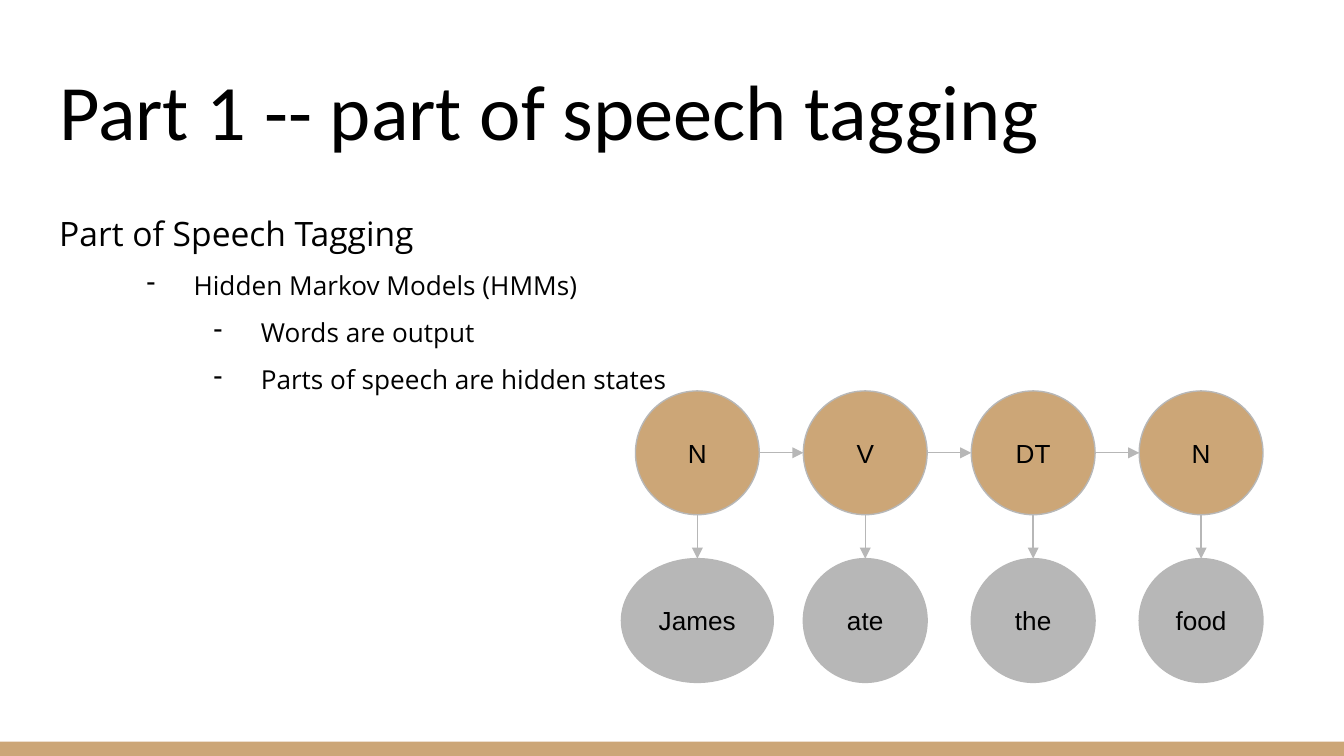
from dataclasses import dataclass

from lxml import etree
from pptx import Presentation
from pptx import util as u
from pptx.dml.color import RGBColor
from pptx.enum import shapes, text
from pptx.oxml import ns


@dataclass(frozen=True)
class Theme:
    ink: str = "000000"
    tan: str = "CCA677"
    gray: str = "B7B7B7"
    head: str = "Calibri"
    body: str = "Open Sans"
    node: str = "Arial"
    big: int = 42
    mid: int = 18
    small: int = 14
    rule: float = 0.75


LOOK = Theme()
WIDE, HIGH = 25.4, 14.29
PAD = 0.25
TITLE = "Part 1 -- part of speech tagging"
NOTES = [
    (0, "Part of Speech Tagging"),
    (1, "Hidden Markov Models (HMMs)"),
    (2, "Words are output"),
    (2, "Parts of speech are hidden states"),
]
# hidden state, word, width of the word's oval
CHAIN = [("N", "James", 2.87), ("V", "ate", 2.34), ("DT", "the", 2.34), ("N", "food", 2.34)]


def cm(*nums):
    return [u.Cm(n) for n in nums]


def add_run(para, words, font, size):
    run = para.add_run()
    run.text = words
    run.font.name = font
    run.font.size = u.Pt(size)
    run.font.color.rgb = RGBColor.from_string(LOOK.ink)


def set_frame(frame, anchor):
    frame.word_wrap = True
    frame.auto_size = text.MSO_AUTO_SIZE.NONE
    frame.vertical_anchor = anchor
    frame.margin_left = frame.margin_right = u.Cm(PAD)
    frame.margin_top = frame.margin_bottom = u.Cm(PAD)


def add_form(home, kind, box, fill, line=None):
    form = home.add_shape(kind, *cm(*box))
    form.shadow.inherit = False
    form.fill.solid()
    form.fill.fore_color.rgb = RGBColor.from_string(fill)
    if line:
        form.line.color.rgb = RGBColor.from_string(line)
        form.line.width = u.Pt(LOOK.rule)
    else:
        form.line.fill.background()
    return form


def add_node(home, box, words, fill):
    node = add_form(home, shapes.MSO_SHAPE.OVAL, box, fill, LOOK.gray)
    set_frame(node.text_frame, text.MSO_ANCHOR.MIDDLE)
    para = node.text_frame.paragraphs[0]
    para.alignment = text.PP_ALIGN.CENTER
    add_run(para, words, LOOK.node, LOOK.small)


def add_arrow(home, start, end):
    wire = home.add_connector(shapes.MSO_CONNECTOR.STRAIGHT, *cm(*start, *end))
    wire.line.color.rgb = RGBColor.from_string(LOOK.gray)
    wire.line.width = u.Pt(LOOK.rule)
    etree.SubElement(wire.line._get_or_add_ln(), ns.qn("a:tailEnd"), type="triangle")
    etree.SubElement(wire._element.spPr, ns.qn("a:effectLst"))


def set_bullet(para, level):
    """Indent by half an inch more per level, with a hanging dash."""
    para.level = level
    props = para._p.get_or_add_pPr()
    props.set("marL", str(u.Cm(1.27 * (level + 1))))
    props.set("indent", str(u.Cm(-0.89)))
    tint = etree.SubElement(props, ns.qn("a:buClr"))
    etree.SubElement(tint, ns.qn("a:srgbClr"), val=LOOK.ink)
    etree.SubElement(props, ns.qn("a:buChar"), char="-")


def add_title(slide, box):
    title = slide.shapes.title
    title.left, title.top, title.width, title.height = cm(*box)
    set_frame(title.text_frame, text.MSO_ANCHOR.BOTTOM)
    para = title.text_frame.paragraphs[0]
    para.alignment = text.PP_ALIGN.LEFT
    add_run(para, TITLE, LOOK.head, LOOK.big)


def add_notes(slide, box):
    """Place the lead line and its dashed points."""
    frame = slide.shapes.add_textbox(*cm(*box)).text_frame
    set_frame(frame, text.MSO_ANCHOR.TOP)
    for i, (level, words) in enumerate(NOTES):
        para = frame.add_paragraph() if i else frame.paragraphs[0]
        para.line_spacing = 1.5
        if level:
            set_bullet(para, level)
        add_run(para, words, LOOK.body, LOOK.small if level else LOOK.mid)


def add_chain(slide, box):
    """Draw the hidden states in a row, each with its word below."""
    left, top, width, height = box
    home = slide.shapes.add_group_shape().shapes
    size = 2.34
    step = (width - size) / (len(CHAIN) - 1)
    low = top + height - size
    for i, (state, word, span) in enumerate(CHAIN):
        x = left + i * step
        mid = x + size / 2
        add_node(home, (x, top, size, size), state, LOOK.tan)
        add_node(home, (mid - span / 2, low, span, size), word, LOOK.gray)
        add_arrow(home, (mid, top + size), (mid, low))
        if i:
            y = top + size / 2
            add_arrow(home, (x - step + size, y), (x, y))


def main():
    deck = Presentation()
    deck.slide_width, deck.slide_height = cm(WIDE, HIGH)
    slide = deck.slides.add_slide(deck.slide_layouts[5])
    bar = 0.27
    add_form(slide.shapes, shapes.MSO_SHAPE.RECTANGLE, (0, HIGH - bar, WIDE, bar), LOOK.tan)
    add_title(slide, (0.87, 0.89, 23.67, 2.31))
    add_notes(slide, (0.87, 3.4, 23.67, 9.32))
    add_chain(slide, (12.01, 7.39, 11.86, 5.51))
    deck.save("out.pptx")


if __name__ == "__main__":
    main()
